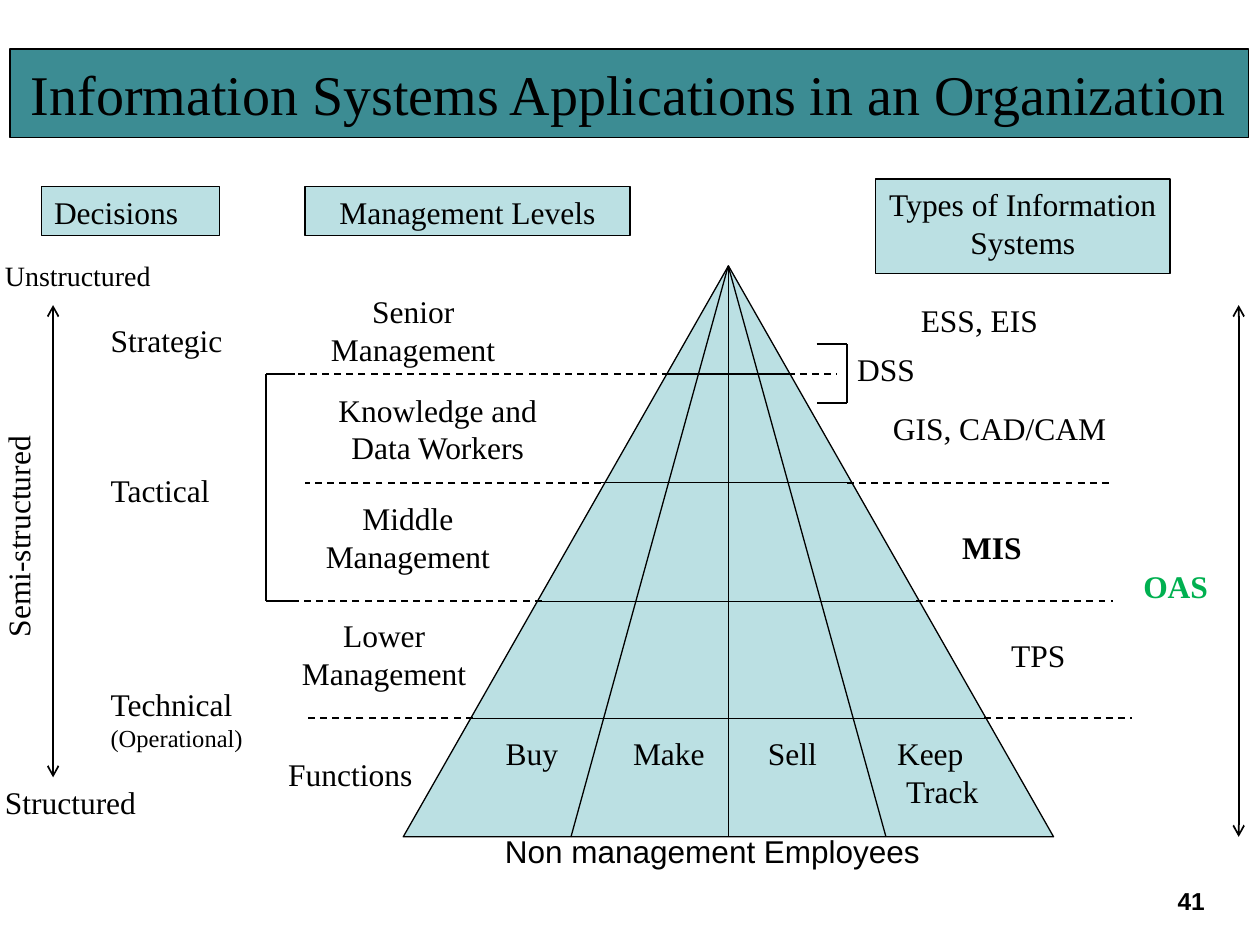
from lxml.etree import SubElement
from pptx import Presentation
from pptx.dml.color import RGBColor
from pptx.enum.dml import MSO_LINE
from pptx.enum.shapes import MSO_CONNECTOR, MSO_SHAPE
from pptx.enum.text import MSO_ANCHOR, PP_ALIGN
from pptx.oxml.ns import qn
from pptx.util import Cm, Pt

BLACK = RGBColor(0x00, 0x00, 0x00)
PALE = RGBColor(0xBB, 0xE0, 0xE3)
TEAL = RGBColor(0x3C, 0x8C, 0x93)
GREEN = RGBColor(0x00, 0xB0, 0x50)
LEFT, MID, RIGHT = PP_ALIGN.LEFT, PP_ALIGN.CENTER, PP_ALIGN.RIGHT
SERIF, SANS = "Times New Roman", "Arial"


class Board:
    def __init__(self, slide):
        self.shapes = slide.shapes

    def letter(self, shape, text, align=MID, size=18, font=SERIF, color=BLACK,
               bold=False, anchor=MSO_ANCHOR.TOP):
        frame = shape.text_frame
        frame.word_wrap = True
        frame.vertical_anchor = anchor
        frame.text = text
        for par in frame.paragraphs:
            par.alignment = align
            par.font.size = Pt(size)
            par.font.name = font
            par.font.bold = bold
            par.font.color.rgb = color
        return frame.paragraphs

    def text(self, box, text, turn=0, **style):
        shape = self.shapes.add_textbox(*map(Cm, box))
        shape.rotation = turn
        return self.letter(shape, text, **style)

    def shape(self, kind, box, fill=PALE):
        shape = self.shapes.add_shape(kind, *map(Cm, box))
        shape.shadow.inherit = False
        shape.fill.solid()
        shape.fill.fore_color.rgb = fill
        shape.line.color.rgb = BLACK
        shape.line.width = Pt(0.75)
        return shape

    def label(self, box, text, fill=PALE, **style):
        self.letter(self.shape(MSO_SHAPE.RECTANGLE, box, fill), text, **style)

    def line(self, x1, y1, x2, y2, width=1, dash=False):
        line = self.shapes.add_connector(
            MSO_CONNECTOR.STRAIGHT, Cm(x1), Cm(y1), Cm(x2), Cm(y2))
        line.line.color.rgb = BLACK
        line.line.width = Pt(width)
        if dash:
            line.line.dash_style = MSO_LINE.DASH
        SubElement(line._element.spPr, qn("a:effectLst"))
        return line

    def arrow(self, x, top, base):
        line = self.line(x, top, x, base)
        stroke = line._element.spPr.find(qn("a:ln"))
        for end in ("a:headEnd", "a:tailEnd"):
            SubElement(stroke, qn(end), type="arrow")

    def bracket(self, tip, spine, top, base):
        self.line(tip, top, spine, top)
        self.line(spine, top, spine, base)
        self.line(spine, base, tip, base)


def main():
    deck = Presentation()
    deck.slide_width, deck.slide_height = Cm(25.4), Cm(19.05)
    board = Board(deck.slides.add_slide(deck.slide_layouts[6]))

    apex, top, base = 14.68, 5.36, 16.87
    board.shape(MSO_SHAPE.ISOSCELES_TRIANGLE, (8.13, top, 13.11, base - top))
    for foot in (11.51, apex, 17.86):
        board.line(apex, top, foot, base, 0.75)

    levels = [
        (7.54, 5.94, 13.49, 15.88, 16.87),
        (9.73, 6.15, 12.12, 17.07, 22.43),
        (12.12, 5.94, 10.92, 18.47, 22.43),
        (14.48, 6.15, 9.53, 19.84, 22.81),
    ]
    for y, start, west, east, end in levels:
        board.line(west, y, east, y, 0.75)
        board.line(west, y, start, y, dash=True)
        board.line(east, y, end, y, dash=True)

    board.bracket(5.94, 5.36, 7.54, 12.12)
    board.bracket(16.46, 17.07, 6.93, 8.13)
    board.arrow(1.07, 6.15, 15.67)
    board.arrow(24.97, 6.15, base)

    board.label((0.2, 0.99, 24.97, 1.78),
                "Information Systems Applications in an Organization",
                TEAL, size=32, anchor=MSO_ANCHOR.MIDDLE)
    board.label((0.84, 3.76, 3.58, 0.99), "Decisions", align=LEFT)
    board.label((6.15, 3.76, 6.55, 0.99), "Management Levels")
    board.label((17.65, 3.61, 5.94, 1.9), "Types of Information Systems")

    for box, text in [
        ((5.94, 5.77, 4.78, 1.57), "Senior Management"),
        ((5.94, 7.75, 5.77, 1.78), "Knowledge and Data Workers"),
        ((5.94, 9.93, 4.57, 1.98), "Middle\nManagement"),
        ((5.56, 12.29, 4.37, 1.78), "Lower\nManagement"),
        ((18.26, 5.94, 2.97, 0.99), "ESS, EIS"),
        ((16.87, 6.93, 1.98, 0.79), "DSS"),
        ((17.65, 8.13, 5.16, 1.57), "GIS, CAD/CAM "),
        ((20.04, 12.7, 1.78, 0.79), "TPS"),
        ((9.53, 14.68, 2.39, 0.79), "Buy"),
        ((12.29, 14.68, 2.39, 0.79), "Make"),
        ((14.68, 14.68, 2.59, 0.79), "Sell"),
    ]:
        board.text(box, text)
    keep = board.text((17.27, 14.68, 2.97, 1.57), "Keep\nTrack")
    keep[1]._p.get_or_add_pPr().set("marL", str(Cm(0.48)))
    board.text((18.75, 10.52, 2.49, 0.79), "MIS", bold=True)
    board.text((22.61, 11.3, 2.34, 1.17), "OAS ", bold=True, color=GREEN)

    for box, text in [
        ((1.98, 6.35, 3.18, 0.79), "Strategic"),
        ((1.98, 9.37, 3.18, 0.79), "Tactical"),
        ((-0.15, 15.67, 3.76, 0.79), "Structured"),
        ((5.56, 15.09, 3.38, 0.79), "Functions"),
    ]:
        board.text(box, text, align=LEFT)
    tech = board.text((1.98, 13.69, 3.58, 1.57), "Technical\n(Operational)",
                      align=LEFT)
    tech[1].font.size = Pt(14)
    board.text((-0.15, 5.08, 3.96, 0.58), "Unstructured", align=LEFT, size=16)
    board.text((-1.96, 10.29, 4.62, 0.99), "Semi-structured", 270, align=LEFT)
    board.text((9.93, 16.64, 10.52, 1.02), "Non management Employees",
               align=LEFT, font=SANS)
    board.text((18.62, 17.73, 5.92, 1.32), "41", align=RIGHT, size=14,
               font=SANS, bold=True)

    deck.save("out.pptx")


if __name__ == "__main__":
    main()
